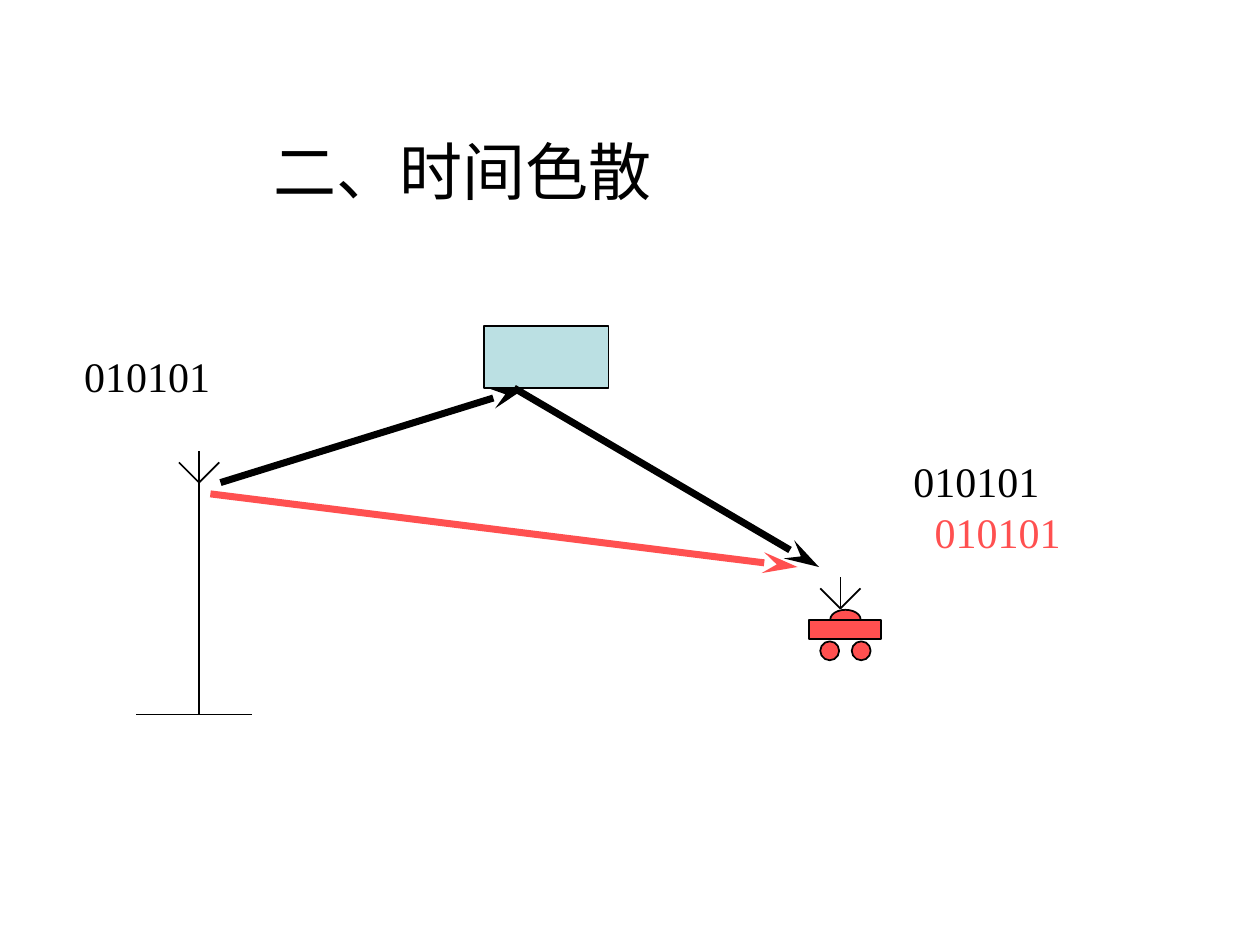
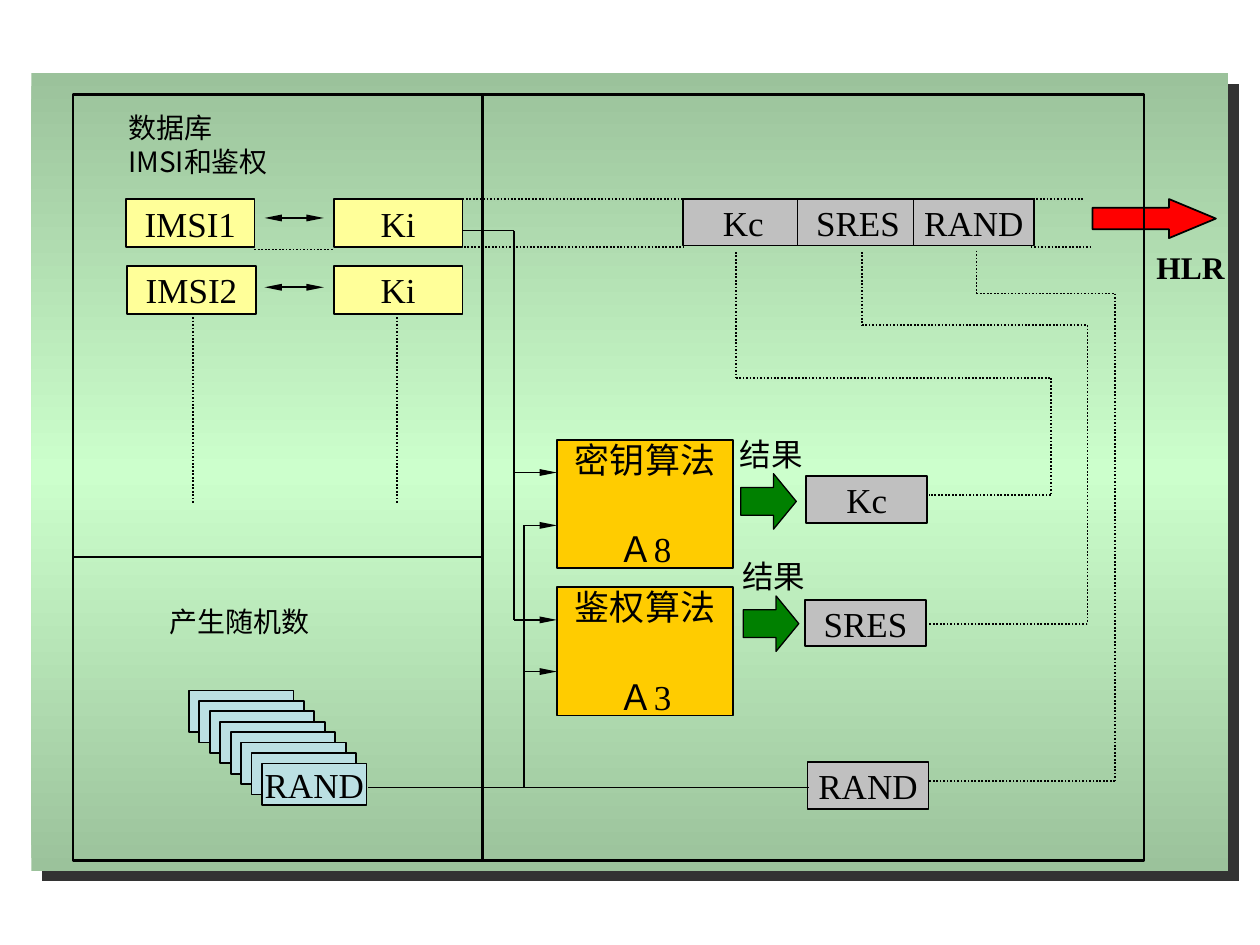
from copy import deepcopy
from dataclasses import dataclass
from itertools import pairwise

from lxml import etree
from pptx import Presentation
from pptx.dml.color import RGBColor
from pptx.enum.dml import MSO_LINE
from pptx.enum.shapes import MSO_CONNECTOR, MSO_SHAPE
from pptx.enum.text import MSO_ANCHOR, MSO_AUTO_SIZE, PP_ALIGN
from pptx.oxml.ns import qn
from pptx.util import Inches, Pt

RECT, OVAL, BLOCK_ARROW = MSO_SHAPE.RECTANGLE, MSO_SHAPE.OVAL, MSO_SHAPE.RIGHT_ARROW
STRAIGHT, DOTTED = MSO_CONNECTOR.STRAIGHT, MSO_LINE.ROUND_DOT
LEFT, CENTER = PP_ALIGN.LEFT, PP_ALIGN.CENTER
TOP, MIDDLE = MSO_ANCHOR.TOP, MSO_ANCHOR.MIDDLE
NO_FIT = MSO_AUTO_SIZE.NONE
TITLE_ONLY, BLANK = 5, 6
TIP_WIDTHS = {"stealth": "med", "triangle": "sm"}


@dataclass(frozen=True)
class Theme:
    ink: str = "000000"
    red: str = "FF5050"
    pale_blue: str = "BBE0E3"
    yellow: str = "FFFF99"
    grey: str = "C0C0C0"
    orange: str = "FFCC00"
    green: str = "008000"
    signal_red: str = "FF0000"
    panel_edge: str = "9BC29B"
    panel_middle: str = "CCFFCC"
    shadow: str = "333333"
    latin: str = "Times New Roman"
    cjk: str = "Noto Sans CJK SC"
    title: int = 36
    bits: int = 24
    box: int = 20
    caption: int = 18
    note: int = 16
    thin: float = 1
    frame: float = 1.5
    ray: float = 4


THEME = Theme()
Point = tuple[float, float]


@dataclass(frozen=True)
class Words:
    text: str
    size: int = THEME.box
    color: str = THEME.ink
    font: str = THEME.latin
    bold: bool = False
    indent: float = 0
    before: float = 0


@dataclass(frozen=True)
class Block:
    left: float
    top: float
    width: float
    height: float
    fill: str | None = None
    words: tuple[Words, ...] = ()
    kind: MSO_SHAPE = RECT
    adjust: tuple[float, ...] = ()
    line: float = THEME.thin


@dataclass(frozen=True)
class Label:
    left: float
    top: float
    width: float
    height: float
    words: tuple[Words, ...]
    align: PP_ALIGN = LEFT
    wrap: bool = True


@dataclass(frozen=True)
class Stroke:
    points: tuple[Point, ...]
    color: str = THEME.ink
    width: float = THEME.thin
    dotted: bool = False
    head: str = ""
    tail: str = ""


def write(frame, words: tuple[Words, ...], align, anchor, wrap: bool) -> None:
    frame.auto_size = NO_FIT
    frame.word_wrap = wrap
    frame.vertical_anchor = anchor
    frame.margin_left = frame.margin_right = Inches(0.1)
    frame.margin_top = frame.margin_bottom = Inches(0.05)
    for index, part in enumerate(words):
        paragraph = frame.add_paragraph() if index else frame.paragraphs[0]
        paragraph.alignment = align
        if part.before:
            paragraph.space_before = Pt(part.before)
        if part.indent:
            paragraph._p.get_or_add_pPr().set("marL", str(Inches(part.indent)))
        run = paragraph.add_run()
        run.text = part.text
        run.font.name = part.font
        run.font.size = Pt(part.size)
        run.font.bold = part.bold
        run.font.color.rgb = RGBColor.from_string(part.color)
        latin = run._r.rPr.find(qn("a:latin"))
        east_asian = etree.Element(qn("a:ea"), typeface=THEME.cjk)
        latin.addnext(east_asian)


def place(spec: Block | Label) -> tuple[int, ...]:
    return tuple(map(Inches, (spec.left, spec.top, spec.width, spec.height)))


def draw_block(slide, block: Block):
    shape = slide.shapes.add_shape(block.kind, *place(block))
    shape.shadow.inherit = False
    for index, value in enumerate(block.adjust):
        shape.adjustments[index] = value
    if block.fill:
        shape.fill.solid()
        shape.fill.fore_color.rgb = RGBColor.from_string(block.fill)
    else:
        shape.fill.background()
    if block.line:
        shape.line.color.rgb = RGBColor.from_string(THEME.ink)
        shape.line.width = Pt(block.line)
    else:
        shape.line.fill.background()
    if block.words:
        write(shape.text_frame, block.words, CENTER, MIDDLE, False)
    return shape


def draw_label(slide, label: Label) -> None:
    box = slide.shapes.add_textbox(*place(label))
    write(box.text_frame, label.words, label.align, TOP, label.wrap)


def add_tip(outline, end: str, style: str) -> None:
    etree.SubElement(outline, qn(end), type=style, w=TIP_WIDTHS[style], len="lg")


def draw_stroke(slide, stroke: Stroke) -> None:
    for start, end in pairwise(stroke.points):
        ends = map(Inches, (*start, *end))
        connector = slide.shapes.add_connector(STRAIGHT, *ends)
        connector.line.color.rgb = RGBColor.from_string(stroke.color)
        connector.line.width = Pt(stroke.width)
        if stroke.dotted:
            connector.line.dash_style = DOTTED
        outline = connector.line._get_or_add_ln()
        if stroke.head and start == stroke.points[0]:
            add_tip(outline, "a:headEnd", stroke.head)
        if stroke.tail and end == stroke.points[-1]:
            add_tip(outline, "a:tailEnd", stroke.tail)
        etree.SubElement(connector._element.spPr, qn("a:effectLst"))


def draw_antenna(slide, x: float, top: float, foot: float) -> None:
    fork = top + 0.25
    draw_stroke(slide, Stroke(((x, top), (x, foot))))
    draw_stroke(slide, Stroke(((x - 0.16, top + 0.09), (x, fork), (x + 0.16, top + 0.09))))


def draw_panel(slide) -> None:
    panel = draw_block(slide, Block(0.25, 0.58, 9.5, 6.33, line=0))
    panel.fill.gradient()
    panel.fill.gradient_angle = 270
    stop_list = panel._element.spPr.find(qn("a:gradFill")).find(qn("a:gsLst"))
    stop_list.append(deepcopy(stop_list[0]))
    colors = (THEME.panel_edge, THEME.panel_middle, THEME.panel_edge)
    for index, (stop, color) in enumerate(zip(panel.fill.gradient_stops, colors)):
        stop.position = index / 2
        stop.color.rgb = RGBColor.from_string(color)
    effects = panel._element.spPr.find(qn("a:effectLst"))
    shadow = etree.SubElement(effects, qn("a:outerShdw"), dist=str(Pt(8.5)),
                              dir=str(45 * 60000), algn="ctr", rotWithShape="0")
    etree.SubElement(shadow, qn("a:srgbClr"), val=THEME.shadow)


def build_dispersion(deck) -> None:
    slide = deck.slides.add_slide(deck.slide_layouts[TITLE_ONLY])
    heading = slide.shapes.title
    heading.left, heading.top = Inches(2.07), Inches(1)
    heading.width, heading.height = Inches(3.4), Inches(0.7)
    write(heading.text_frame, (Words("二、时间色散", THEME.title),), LEFT, TOP, False)

    draw_antenna(slide, 1.58, 3.58, 5.67)
    draw_stroke(slide, Stroke(((1.08, 5.67), (2, 5.67))))
    draw_block(slide, Block(3.84, 2.59, 0.99, 0.49, THEME.pale_blue))
    draw_stroke(slide, Stroke(((1.75, 3.83), (4.17, 3.08)), width=THEME.ray, tail="stealth"))

    car = [
        Block(6.59, 4.84, 0.24, 0.15, THEME.red, kind=OVAL),
        Block(6.42, 4.92, 0.57, 0.15, THEME.red),
        *(Block(x, 5.09, 0.15, 0.15, THEME.red, kind=OVAL) for x in (6.51, 6.76)),
    ]
    for part in car:
        draw_block(slide, part)
    draw_antenna(slide, 6.67, 4.58, 4.83)
    draw_stroke(slide, Stroke(((4.08, 3.08), (6.5, 4.5)), width=THEME.ray, tail="stealth"))
    draw_stroke(slide, Stroke(((1.67, 3.92), (6.33, 4.5)), THEME.red, THEME.ray, tail="stealth"))

    sent = Words("010101", THEME.bits)
    echo = Words("010101", THEME.bits, THEME.red, indent=0.17)
    draw_label(slide, Label(0.57, 2.73, 1.2, 0.5, (sent,), wrap=False))
    draw_label(slide, Label(7.15, 3.57, 1.37, 0.9, (sent, echo), wrap=False))


def build_authentication(deck) -> None:
    slide = deck.slides.add_slide(deck.slide_layouts[BLANK])
    draw_panel(slide)

    records = [(1, 1.58, "IMSI1"), (1.01, 2.11, "IMSI2"), (2.65, 2.11, "Ki"), (2.65, 1.58, "Ki")]
    blocks = [Block(x, y, 1.02, 0.38, THEME.yellow, (Words(name),)) for x, y, name in records]

    depth = 8
    for layer in range(depth):
        shift = 0.58 * layer / (depth - 1)
        words = (Words("RAND"),) if layer == depth - 1 else ()
        blocks.append(Block(1.5 + shift, 5.48 + shift, 0.83, 0.33, THEME.pale_blue, words))

    triplet = [(5.42, 1.58, "Kc"), (6.33, 1.58, "SRES"), (7.25, 1.58, "RAND")]
    outputs = [(6.4, 3.78, "Kc"), (6.39, 4.76, "SRES"), (6.41, 6.05, "RAND")]
    blocks += [Block(x, y, 0.96, 0.37, THEME.grey, (Words(name),))
               for x, y, name in triplet + outputs]
    blocks.append(Block(8.67, 1.58, 0.98, 0.31, THEME.signal_red,
                        kind=BLOCK_ARROW, adjust=(0.55, 1.2)))

    algorithms = [(3.49, "密钥算法", "Ａ8", 5.88, 3.76), (4.66, "鉴权算法", "Ａ3", 5.9, 4.73)]
    labels = []
    for top, purpose, code, arrow_left, arrow_top in algorithms:
        blocks.append(Block(4.42, top, 1.4, 1.02, THEME.orange,
                            (Words(purpose), Words(code, before=27))))
        blocks.append(Block(arrow_left, arrow_top, 0.44, 0.44, THEME.green,
                            kind=BLOCK_ARROW, adjust=(0.5, 0.41), line=0.75))
        labels.append(Label(arrow_left - 0.13, arrow_top - 0.36, 0.74, 0.4,
                            (Words("结果", THEME.caption),), CENTER))
    blocks.append(Block(0.58, 0.75, 8.5, 6.08, line=THEME.frame))

    dotted_routes = [
        ((2.02, 1.98), (2.65, 1.98)),
        ((1.53, 2.49), (1.53, 4)),
        ((3.15, 2.49), (3.15, 4)),
        ((3.67, 1.58), (5.42, 1.58)),
        ((3.6, 1.96), (5.43, 1.96)),
        ((8.17, 1.58), (8.61, 1.58)),
        ((8.18, 1.96), (8.65, 1.96)),
        ((7.75, 1.99), (7.75, 2.33), (8.85, 2.33), (8.85, 6.2), (7.37, 6.2)),
        ((6.84, 2), (6.84, 2.58), (8.63, 2.58), (8.63, 4.95), (7.37, 4.95)),
        ((5.84, 2), (5.84, 3), (8.34, 3), (8.34, 3.93), (7.37, 3.93)),
    ]
    strokes = [Stroke(route, dotted=True) for route in dotted_routes]
    strokes += [Stroke(((2.1, y), (2.57, y)), head="triangle", tail="triangle")
                for y in (1.73, 2.28)]
    dividers = [((3.83, 0.75), (3.83, 6.83)), ((0.58, 4.42), (3.83, 4.42))]
    strokes += [Stroke(divider, width=THEME.frame) for divider in dividers]
    strokes += [
        Stroke(((3.67, 1.83), (4.08, 1.83), (4.08, 4.92), (4.42, 4.92)), tail="triangle"),
        Stroke(((4.16, 6.25), (4.16, 4.17), (4.42, 4.17)), tail="triangle"),
        Stroke(((4.08, 3.75), (4.42, 3.75)), tail="triangle"),
        Stroke(((4.16, 5.33), (4.42, 5.33)), tail="triangle"),
        Stroke(((2.92, 6.25), (6.42, 6.25))),
    ]

    database = tuple(Words(text, THEME.note, font=THEME.cjk) for text in ("数据库", "IMSI和鉴权"))
    labels += [
        Label(0.92, 0.83, 1.58, 0.64, database),
        Label(1.25, 4.75, 1.33, 0.37, (Words("产生随机数", THEME.note),)),
        Label(9.08, 1.92, 0.92, 0.4, (Words("HLR", THEME.caption, bold=True),)),
    ]
    for block in blocks:
        draw_block(slide, block)
    for stroke in strokes:
        draw_stroke(slide, stroke)
    for label in labels:
        draw_label(slide, label)


def main() -> None:
    deck = Presentation()
    deck.slide_width, deck.slide_height = Inches(10), Inches(7.5)
    build_dispersion(deck)
    build_authentication(deck)
    deck.save("out.pptx")


if __name__ == "__main__":
    main()
